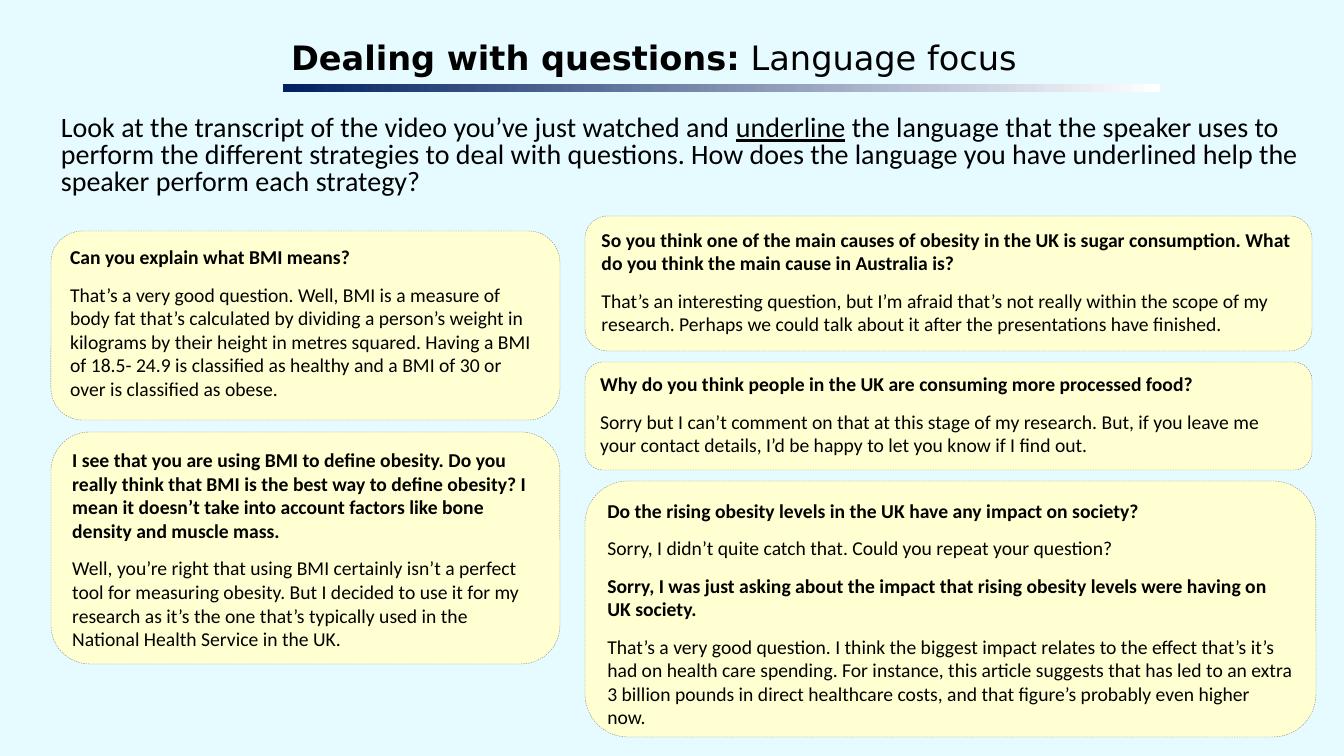
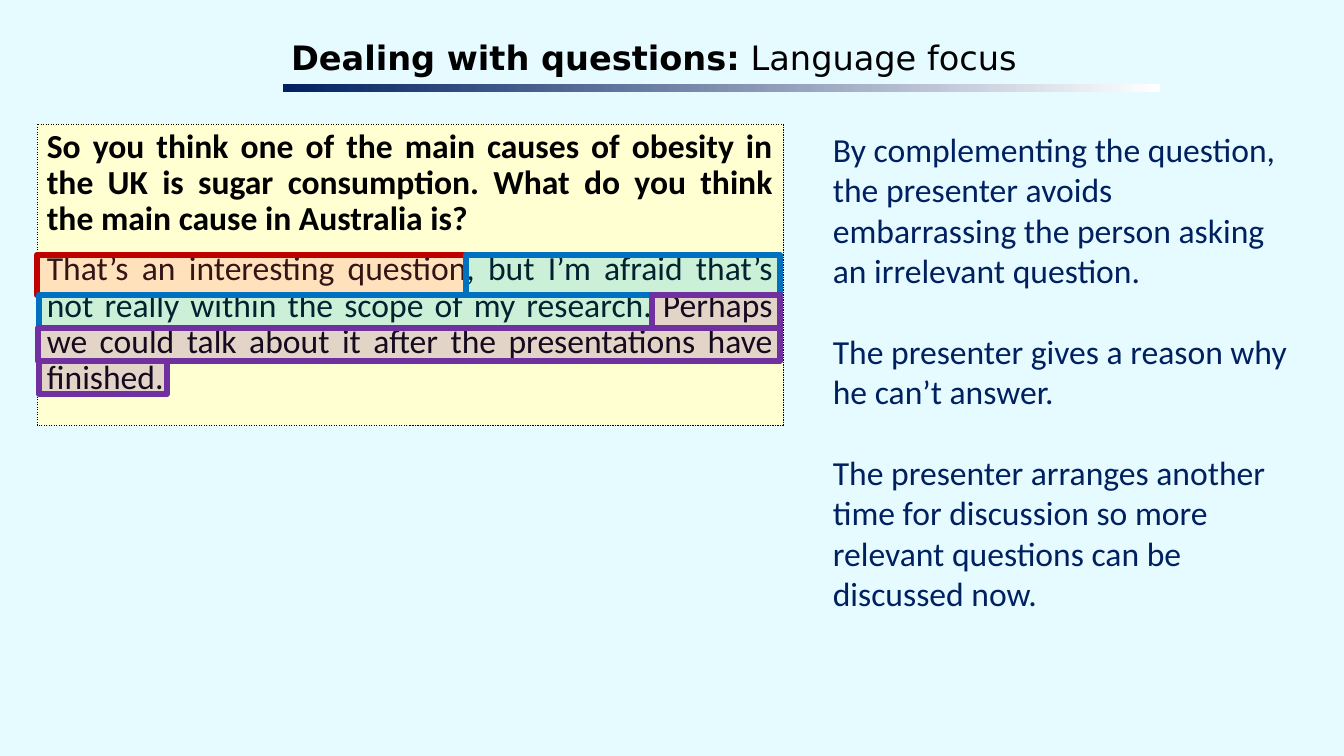
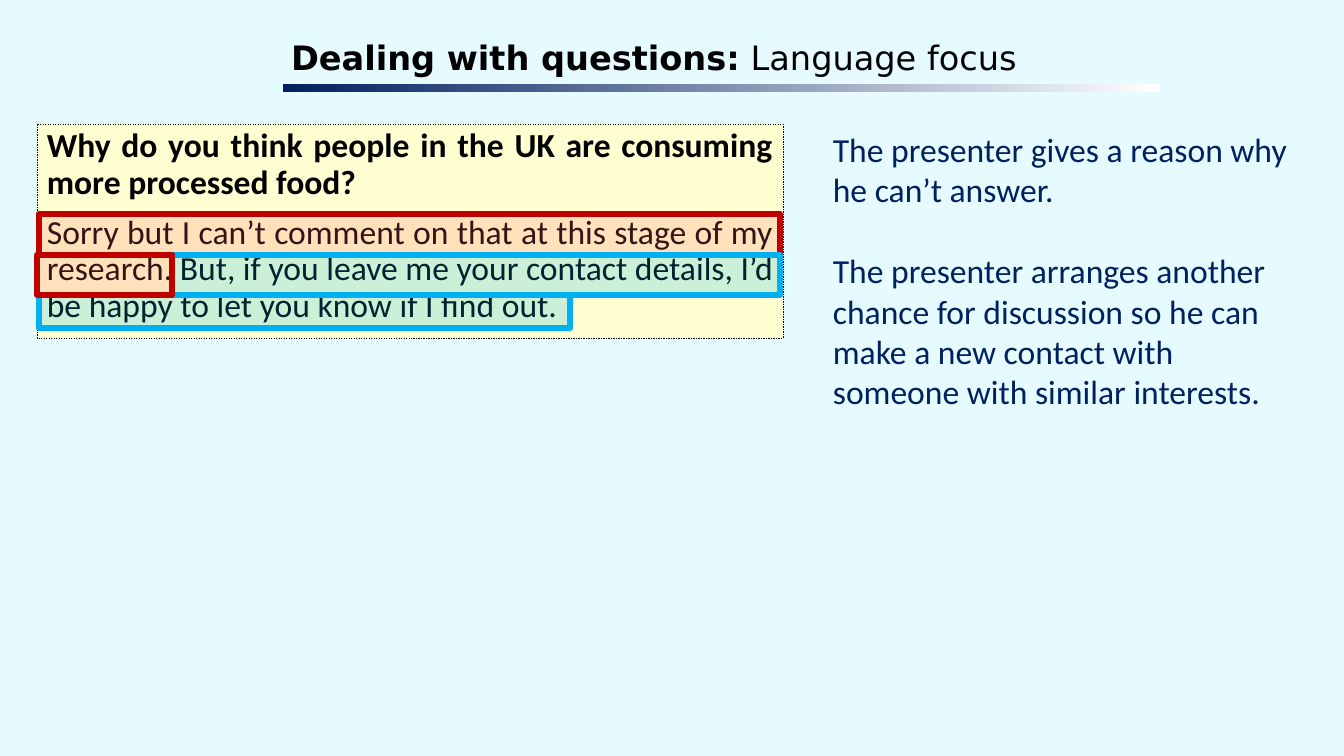
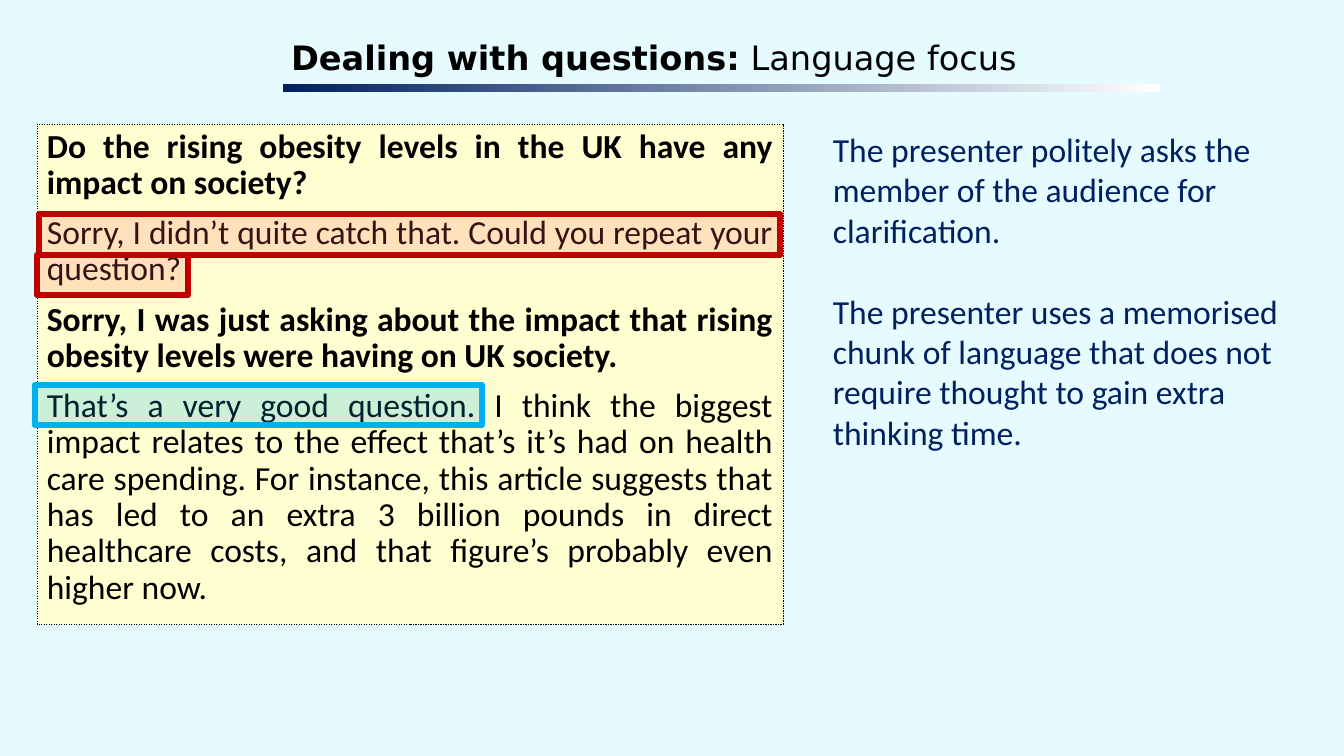
"""Build four slides on the language of dealing with questions."""
from lxml import etree
from pptx import Presentation
from pptx.dml.color import RGBColor
from pptx.enum import dml, shapes, text
from pptx.oxml import ns
from pptx.util import Emu, Pt

PX = 914400 / 100.8
BLACK, NAVY, WHITE, GREY = "000000", "002060", "FFFFFF", "7F7F7F"
SKY, CREAM = "E5FBFF", "FFFFD1"
RED, BLUE = ("FF6D6A", "C00000"), ("00B0F0", "0070C0")
CYAN, PURPLE = ("00B0F0", "00B0F0"), ("7030A0", "7030A0")

TITLE = [("Dealing with questions:", "b"), (" Language focus", "")]
INTRO = [
    ("Look at the transcript of the video you’ve just watched and ", ""),
    ("underline", "u"),
    (" the language that the speaker uses to perform the different strategies to deal with questions. "
     "How does the language you have underlined help the speaker perform each strategy?", ""),
]
MEANING = [
    "Can you explain what BMI means?",
    "That’s a very good question. Well, BMI is a measure of body fat that’s calculated by dividing a "
    "person’s weight in kilograms by their height in metres squared. Having a BMI of 18.5- 24.9 is "
    "classified as healthy and a BMI of 30 or over is classified as obese.",
]
METHOD = [
    "I see that you are using BMI to define obesity. Do you really think that BMI is the best way to "
    "define obesity? I mean it doesn’t take into account factors like bone density and muscle mass.",
    "Well, you’re right that using BMI certainly isn’t a perfect tool for measuring obesity. But I "
    "decided to use it for my research as it’s the one that’s typically used in the National Health "
    "Service in the UK.",
]
CAUSES = [
    "So you think one of the main causes of obesity in the UK is sugar consumption. What do you think "
    "the main cause in Australia is?",
    "That’s an interesting question, but I’m afraid that’s not really within the scope of my research. "
    "Perhaps we could talk about it after the presentations have finished.",
]
FOOD = [
    "Why do you think people in the UK are consuming more processed food?",
    "Sorry but I can’t comment on that at this stage of my research. But, if you leave me your contact "
    "details, I’d be happy to let you know if I find out.",
]
IMPACT = [
    "Do the rising obesity levels in the UK have any impact on society?",
    "Sorry, I didn’t quite catch that. Could you repeat your question?",
    "Sorry, I was just asking about the impact that rising obesity levels were having on UK society.",
    "That’s a very good question. I think the biggest impact relates to the effect that’s it’s had on "
    "health care spending. For instance, this article suggests that has led to an extra 3 billion pounds "
    "in direct healthcare costs, and that figure’s probably even higher now.",
]
CARDS = [
    (MEANING, (51, 231, 509, 189)),
    (METHOD, (51, 432, 509, 232)),
    (CAUSES, (585, 216, 727, 135)),
    (IMPACT, (585, 481, 731, 256)),
    (FOOD, (585, 362, 727, 108)),
]
ROWS = {"a": (214, 41), "b": (255, 40), "c": (295, 33), "d": (328, 33), "e": (361, 33), "f": (385, 40)}
ANALYSES = [
    (CAUSES, 301,
     ["By complementing the question, the presenter avoids embarrassing the person asking an irrelevant "
      "question.",
      "The presenter gives a reason why he can’t answer.",
      "The presenter arranges another time for discussion so more relevant questions can be discussed now."],
     [("b", 37, 466, RED), ("b", 466, 780, BLUE), ("c", 39, 652, BLUE),
      ("c", 652, 780, PURPLE), ("d", 38, 780, PURPLE), ("e", 39, 167, PURPLE)]),
    (FOOD, 214,
     ["The presenter gives a reason why he can’t answer.",
      "The presenter arranges another chance for discussion so he can make a new contact with someone with "
      "similar interests."],
     [("a", 39, 780, RED), ("b", 172, 780, CYAN), ("c", 39, 570, CYAN), ("b", 37, 172, RED)]),
    (IMPACT, 500,
     ["The presenter politely asks the member of the audience for clarification.",
      "The presenter uses a memorised chunk of language that does not require thought to gain extra "
      "thinking time."],
     [("a", 39, 780, RED), ("f", 35, 482, CYAN), ("b", 37, 188, RED)]),
]


def px(*lengths):
    return [Emu(round(n * PX)) for n in lengths]


def rgb(value):
    return RGBColor.from_string(value)


def write(tf, paras, size=24, font="Calibri", color=BLACK, align=text.PP_ALIGN.LEFT,
          spacing=1.0, gap=0, anchor=text.MSO_ANCHOR.TOP):
    tf.word_wrap = True
    tf.auto_size = text.MSO_AUTO_SIZE.NONE
    tf.vertical_anchor = anchor
    for i, runs in enumerate(paras):
        p = tf.paragraphs[0] if i == 0 else tf.add_paragraph()
        p.alignment, p.line_spacing = align, spacing
        p.space_before = Pt(gap if i else 0)
        for words, style in runs:
            r = p.add_run()
            r.text = words
            r.font.size, r.font.name = Pt(size), font
            r.font.color.rgb = rgb(color)
            r.font.bold = style == "b"
            r.font.underline = style == "u"


def dialogue(lines):
    return [[(line, "" if i % 2 else "b")] for i, line in enumerate(lines)]


def add_box(s, box, fill=None, line=None, width=0.25, dash=None, kind=shapes.MSO_SHAPE.RECTANGLE, alpha=None):
    sp = s.shapes.add_shape(kind, *px(*box))
    sp.shadow.inherit = False
    if fill:
        sp.fill.solid()
        sp.fill.fore_color.rgb = rgb(fill)
    if alpha:
        color = sp.fill._xPr.find(".//" + ns.qn("a:srgbClr"))
        etree.SubElement(color, ns.qn("a:alpha")).set("val", str(alpha * 1000))
    if line:
        sp.line.color.rgb = rgb(line)
        sp.line.width = Pt(width)
        sp.line.dash_style = dash
    else:
        sp.line.fill.background()
    return sp


def add_text(s, box, paras, **fmt):
    write(s.shapes.add_textbox(*px(*box)).text_frame, paras, **fmt)


def add_slide(prs):
    s = prs.slides.add_slide(prs.slide_layouts[5])
    title = s.shapes.title
    title.left, title.top, title.width, title.height = px(287, 31, 873, 53)
    tf = title.text_frame
    tf.margin_left, tf.margin_right, tf.margin_top, tf.margin_bottom = px(4, 4, 4, 4)
    write(tf, [TITLE], font="DejaVu Sans", anchor=text.MSO_ANCHOR.MIDDLE)
    bar = add_box(s, (283, 84, 877, 8))
    bar.fill.gradient()
    bar.fill.gradient_angle = 0
    for stop, color in zip(bar.fill.gradient_stops, (NAVY, WHITE)):
        stop.color.rgb = rgb(color)
    return s


def add_overview(prs):
    s = add_slide(prs)
    add_text(s, (51, 111, 1260, 100), [INTRO], size=20, spacing=0.8)
    for lines, box in CARDS:
        card = add_box(s, box, CREAM, GREY, dash=dml.MSO_LINE.DASH, kind=shapes.MSO_SHAPE.ROUNDED_RECTANGLE)
        write(card.text_frame, dialogue(lines), size=14, gap=10)


def add_analysis(prs, lines, height, notes, marks):
    s = add_slide(prs)
    extract = add_box(s, (37, 124, 746, height), CREAM, BLACK, dash=dml.MSO_LINE.DASH)
    write(extract.text_frame, dialogue(lines), align=text.PP_ALIGN.JUSTIFY, spacing=0.9, gap=10)
    add_text(s, (823, 124, 482, 499), [[(note, "")] for note in notes], color=NAVY, gap=29)
    for row, left, right, (fill, line) in marks:
        top, depth = ROWS[row]
        add_box(s, (left, top, right - left, depth), fill, line, width=4.5, alpha=20)


def main():
    prs = Presentation()
    prs.slide_width, prs.slide_height = px(1344, 756)
    background = prs.slide_master.background.fill
    background.solid()
    background.fore_color.rgb = rgb(SKY)
    add_overview(prs)
    for analysis in ANALYSES:
        add_analysis(prs, *analysis)
    prs.save("out.pptx")


if __name__ == "__main__":
    main()
